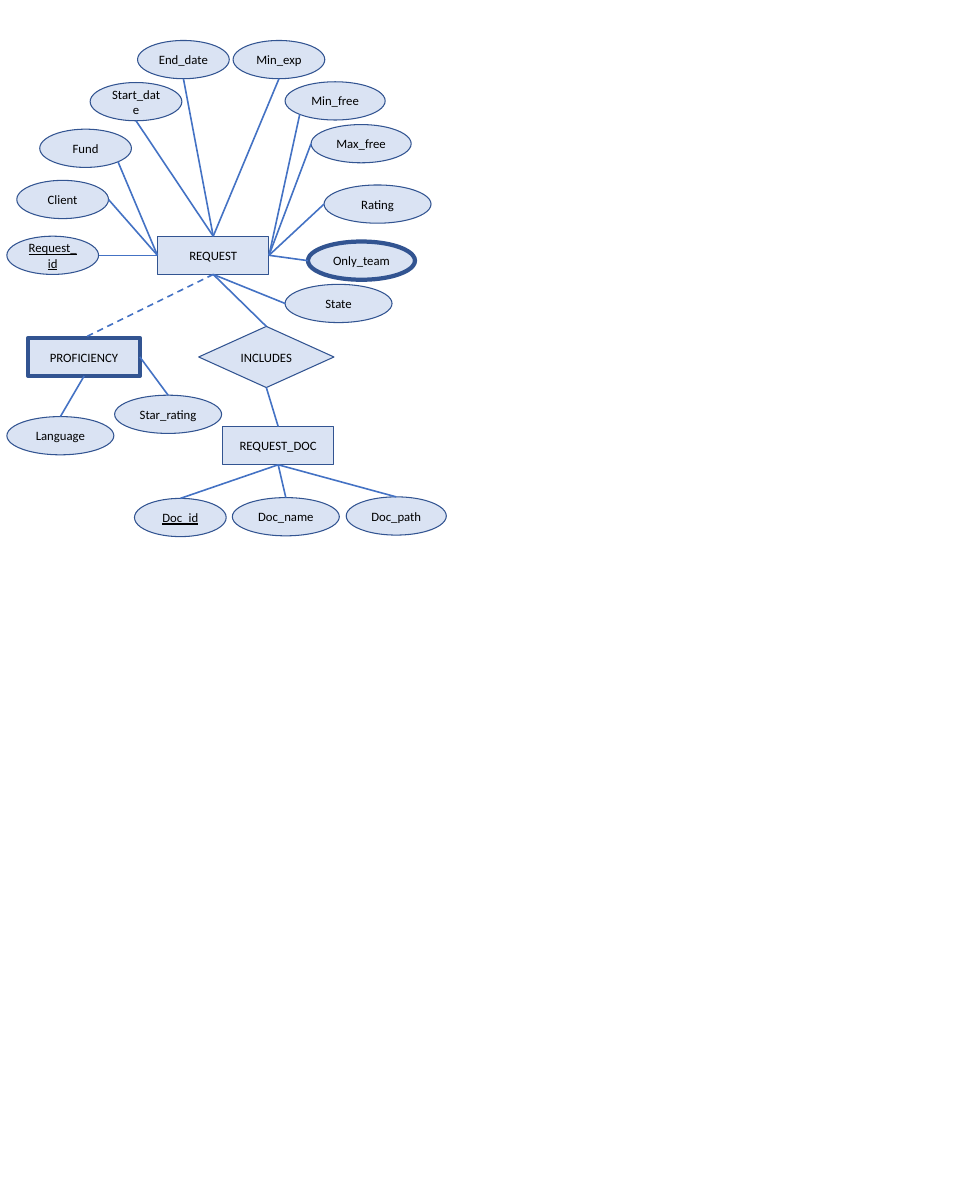
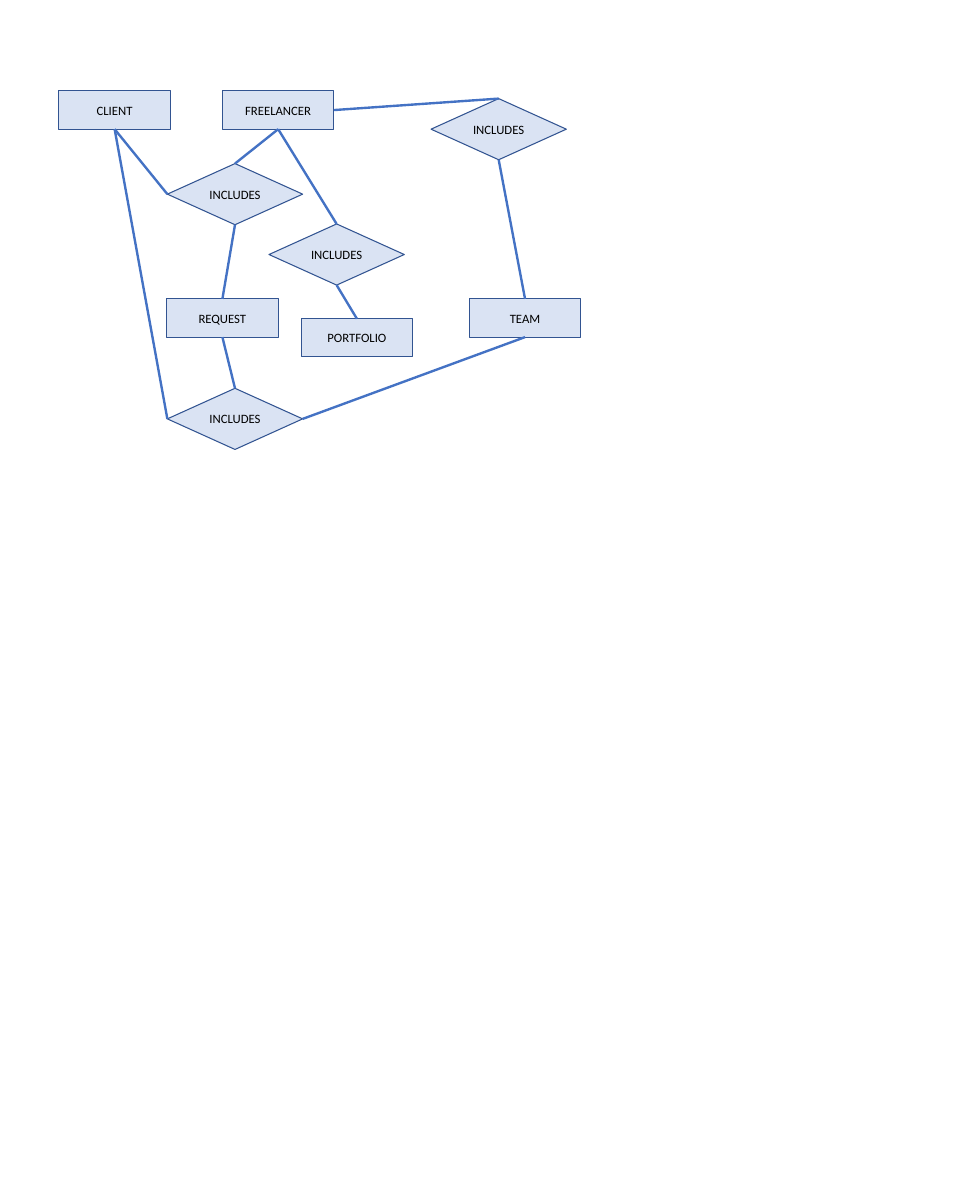
"""Draw two entity-relationship diagrams, one per slide."""
import dataclasses
import math

import lxml.etree
import pptx
import pptx.dml.color
import pptx.enum.dml
import pptx.enum.shapes
import pptx.enum.text
import pptx.oxml.ns
import pptx.shapes.autoshape
import pptx.slide
import pptx.util

COLOURS = {"fill": "DAE3F3", "edge": "325491", "link": "4472C4", "text": "000000"}
FONT = "Calibri"
FORMS = pptx.enum.shapes.MSO_SHAPE
KINDS = {
    "entity": (FORMS.RECTANGLE, 1.46, 0.5),
    "join": (FORMS.DIAMOND, 1.77, 0.8),
    "small": (FORMS.OVAL, 1.2, 0.5),
    "mid": (FORMS.OVAL, 1.31, 0.5),
    "large": (FORMS.OVAL, 1.4, 0.5),
}
DIAG = math.sqrt(0.5)
SIDES = {
    "top": (0, -1),
    "left": (-1, 0),
    "bottom": (0, 1),
    "right": (1, 0),
    "low left": (-DIAG, DIAG),
    "low right": (DIAG, DIAG),
}
SITES = ["top", "left", "bottom", "right"]
OVAL_SITES = ["top", "high left", "left", "low left", "bottom", "low right", "right"]


@dataclasses.dataclass
class Node:
    text: str
    kind: str
    left: float
    top: float
    edge: float = 1
    line: bool = False
    key: str = ""


@dataclasses.dataclass
class Link:
    start: str
    exit: str
    end: str
    entry: str
    dash: bool = False


@dataclasses.dataclass
class Chart:
    weight: float
    nodes: list[Node]
    links: list[Link]


def colour(name: str) -> pptx.dml.color.RGBColor:
    return pptx.dml.color.RGBColor.from_string(COLOURS[name])


def draw_node(slide: pptx.slide.Slide, node: Node) -> pptx.shapes.autoshape.Shape:
    form, width, height = KINDS[node.kind]
    box = [pptx.util.Inches(size) for size in (node.left, node.top, width, height)]
    shape = slide.shapes.add_shape(form, *box)
    shape.shadow.inherit = False
    shape.fill.solid()
    shape.fill.fore_color.rgb = colour("fill")
    shape.line.color.rgb = colour("edge")
    shape.line.width = pptx.util.Pt(node.edge)
    frame = shape.text_frame
    frame.word_wrap = True
    frame.vertical_anchor = pptx.enum.text.MSO_ANCHOR.MIDDLE
    para = frame.paragraphs[0]
    para.alignment = pptx.enum.text.PP_ALIGN.CENTER
    run = para.add_run()
    run.text = node.text
    run.font.name = FONT
    run.font.size = pptx.util.Pt(12)
    run.font.color.rgb = colour("text")
    if node.line:
        run.font.underline = True
    return shape


def find_point(shape: pptx.shapes.autoshape.Shape, side: str) -> tuple[int, int]:
    across, down = SIDES[side]
    return (
        round(shape.left + shape.width * (1 + across) / 2),
        round(shape.top + shape.height * (1 + down) / 2),
    )


def draw_link(
    slide: pptx.slide.Slide,
    link: Link,
    shapes: dict[str, pptx.shapes.autoshape.Shape],
    weight: float,
) -> None:
    ends = [(shapes[link.start], link.exit), (shapes[link.end], link.entry)]
    points = [find_point(shape, side) for shape, side in ends]
    wire = slide.shapes.add_connector(
        pptx.enum.shapes.MSO_CONNECTOR.STRAIGHT, *points[0], *points[1]
    )
    wire.line.color.rgb = colour("link")
    wire.line.width = pptx.util.Pt(weight)
    if link.dash:
        wire.line.dash_style = pptx.enum.dml.MSO_LINE.DASH
    qn = pptx.oxml.ns.qn
    lxml.etree.SubElement(wire._element.spPr, qn("a:effectLst"))
    props = wire._element.find(".//" + qn("p:cNvCxnSpPr"))
    for tag, (shape, side) in zip(("a:stCxn", "a:endCxn"), ends):
        sites = OVAL_SITES if shape.auto_shape_type == FORMS.OVAL else SITES
        glue = lxml.etree.SubElement(props, qn(tag))
        glue.set("id", str(shape.shape_id))
        glue.set("idx", str(sites.index(side)))


def draw_chart(deck: pptx.presentation.Presentation, chart: Chart) -> None:
    slide = deck.slides.add_slide(deck.slide_layouts[6])
    shapes = {node.key or node.text: draw_node(slide, node) for node in chart.nodes}
    for link in chart.links:
        draw_link(slide, link, shapes, chart.weight)


DETAIL = Chart(
    1.5,
    [
        Node("REQUEST", "entity", 2.06, 3.09),
        Node("Request_id", "small", 0.09, 3.09, line=True),
        Node("Fund", "small", 0.52, 1.69),
        Node("Client", "small", 0.22, 2.36),
        Node("Start_date", "small", 1.18, 1.08),
        Node("End_date", "small", 1.8, 0.53),
        Node("Min_exp", "small", 3.05, 0.53),
        Node("Min_free", "mid", 3.73, 1.07),
        Node("Max_free", "mid", 4.07, 1.63),
        Node("Rating", "large", 4.24, 2.42),
        Node("Only_team", "large", 4.03, 3.16, edge=4),
        Node("State", "large", 3.73, 3.72),
        Node("PROFICIENCY", "entity", 0.37, 4.42, edge=4),
        Node("Language", "large", 0.09, 5.45),
        Node("Star_rating", "large", 1.5, 5.17),
        Node("INCLUDES", "join", 2.6, 4.27),
        Node("REQUEST_DOC", "entity", 2.91, 5.58),
        Node("Doc_id", "small", 1.76, 6.52, line=True),
        Node("Doc_name", "large", 3.04, 6.51),
        Node("Doc_path", "mid", 4.53, 6.5),
    ],
    [
        Link("REQUEST", "left", "Request_id", "right"),
        Link("REQUEST", "left", "Client", "right"),
        Link("REQUEST", "left", "Fund", "low right"),
        Link("REQUEST", "top", "Start_date", "bottom"),
        Link("REQUEST", "top", "End_date", "bottom"),
        Link("REQUEST", "top", "Min_exp", "bottom"),
        Link("REQUEST", "right", "Min_free", "low left"),
        Link("REQUEST", "right", "Max_free", "left"),
        Link("REQUEST", "right", "Rating", "left"),
        Link("REQUEST", "right", "Only_team", "left"),
        Link("REQUEST", "bottom", "State", "left"),
        Link("REQUEST", "bottom", "PROFICIENCY", "top", dash=True),
        Link("REQUEST", "bottom", "INCLUDES", "top"),
        Link("PROFICIENCY", "bottom", "Language", "top"),
        Link("PROFICIENCY", "right", "Star_rating", "top"),
        Link("INCLUDES", "bottom", "REQUEST_DOC", "top"),
        Link("REQUEST_DOC", "bottom", "Doc_id", "top"),
        Link("REQUEST_DOC", "bottom", "Doc_name", "top"),
        Link("REQUEST_DOC", "bottom", "Doc_path", "top"),
    ],
)

SUMMARY = Chart(
    2.25,
    [
        Node("CLIENT", "entity", 0.77, 1.19),
        Node("FREELANCER", "entity", 2.91, 1.19),
        Node("REQUEST", "entity", 2.18, 3.91),
        Node("PORTFOLIO", "entity", 3.94, 4.17),
        Node("TEAM", "entity", 6.14, 3.91),
        Node("INCLUDES", "join", 2.19, 2.14, key="asks"),
        Node("INCLUDES", "join", 3.52, 2.93, key="works"),
        Node("INCLUDES", "join", 5.64, 1.29, key="members"),
        Node("INCLUDES", "join", 2.19, 5.08, key="hires"),
    ],
    [
        Link("CLIENT", "bottom", "asks", "left"),
        Link("CLIENT", "bottom", "hires", "left"),
        Link("FREELANCER", "bottom", "asks", "top"),
        Link("FREELANCER", "bottom", "works", "top"),
        Link("FREELANCER", "right", "members", "top"),
        Link("asks", "bottom", "REQUEST", "top"),
        Link("works", "bottom", "PORTFOLIO", "top"),
        Link("members", "bottom", "TEAM", "top"),
        Link("REQUEST", "bottom", "hires", "top"),
        Link("TEAM", "bottom", "hires", "right"),
    ],
)

deck = pptx.Presentation()
deck.slide_width = pptx.util.Inches(12.6)
deck.slide_height = pptx.util.Inches(15.75)
for chart in (DETAIL, SUMMARY):
    draw_chart(deck, chart)
deck.save("out.pptx")
